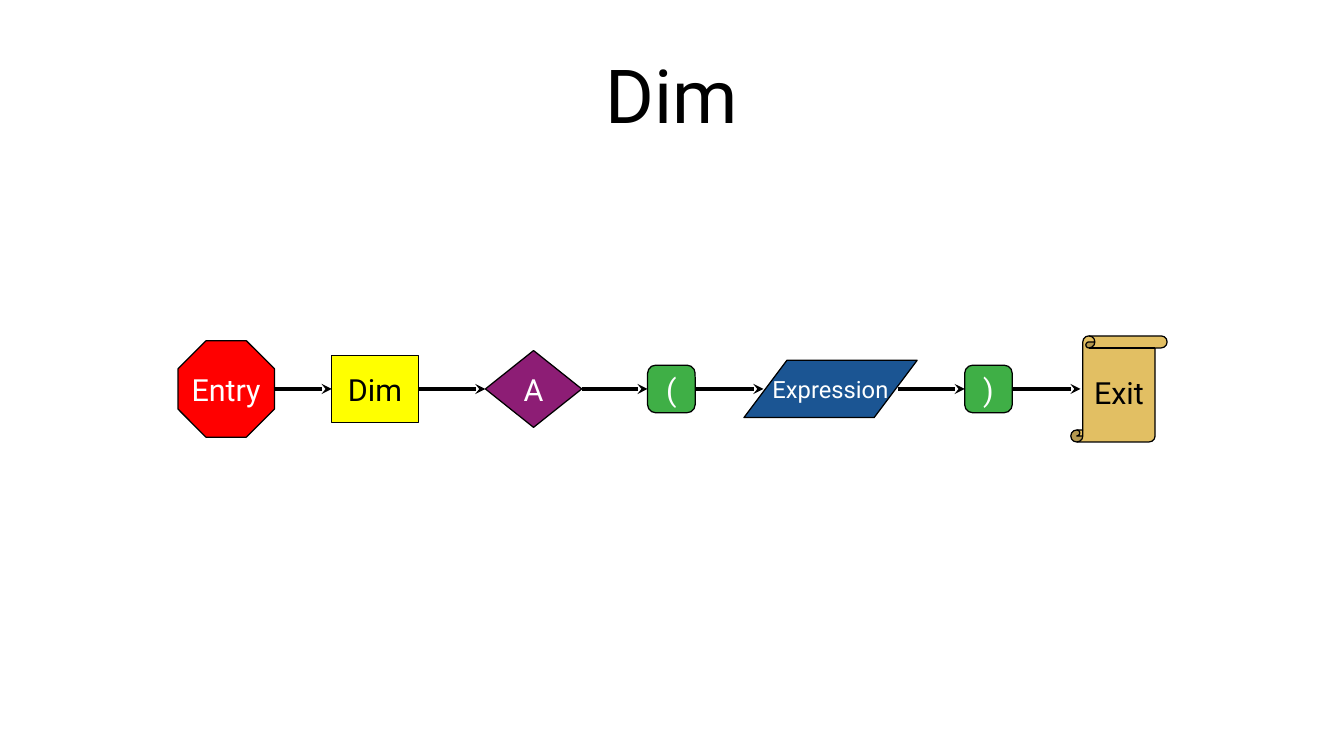
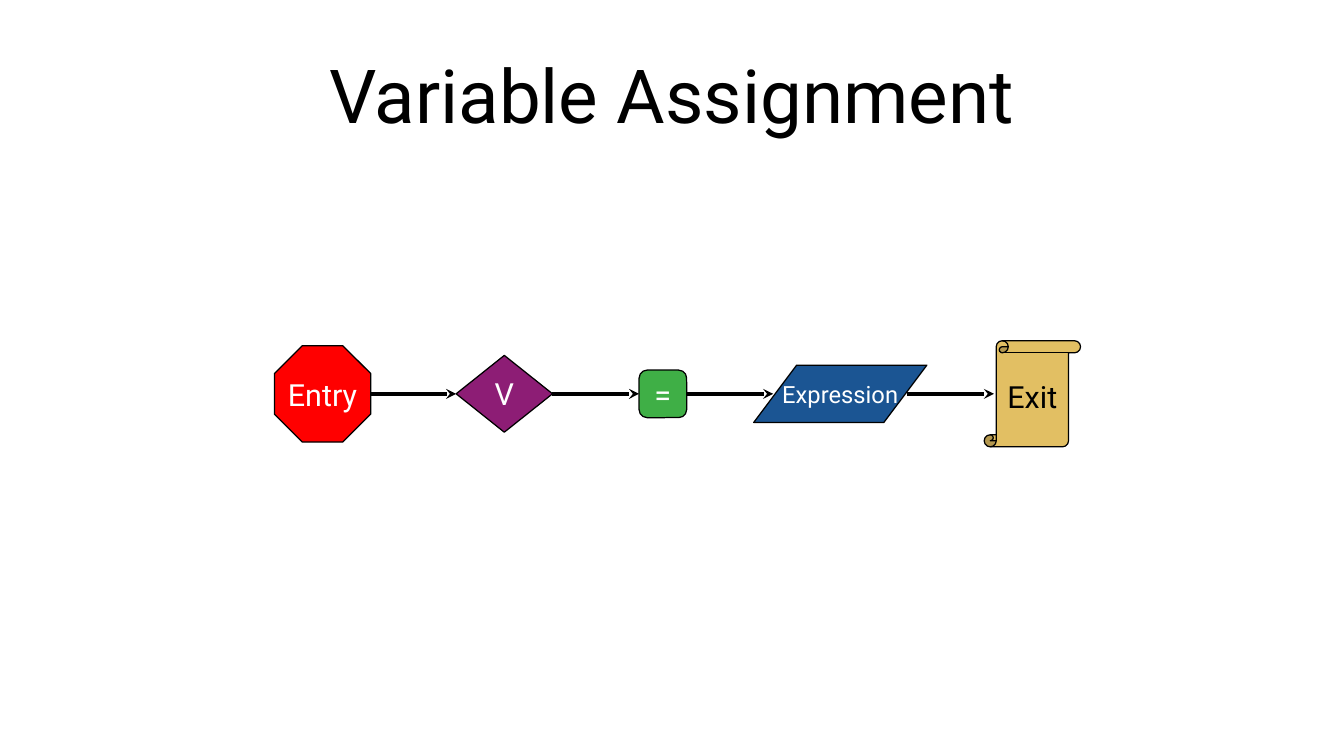
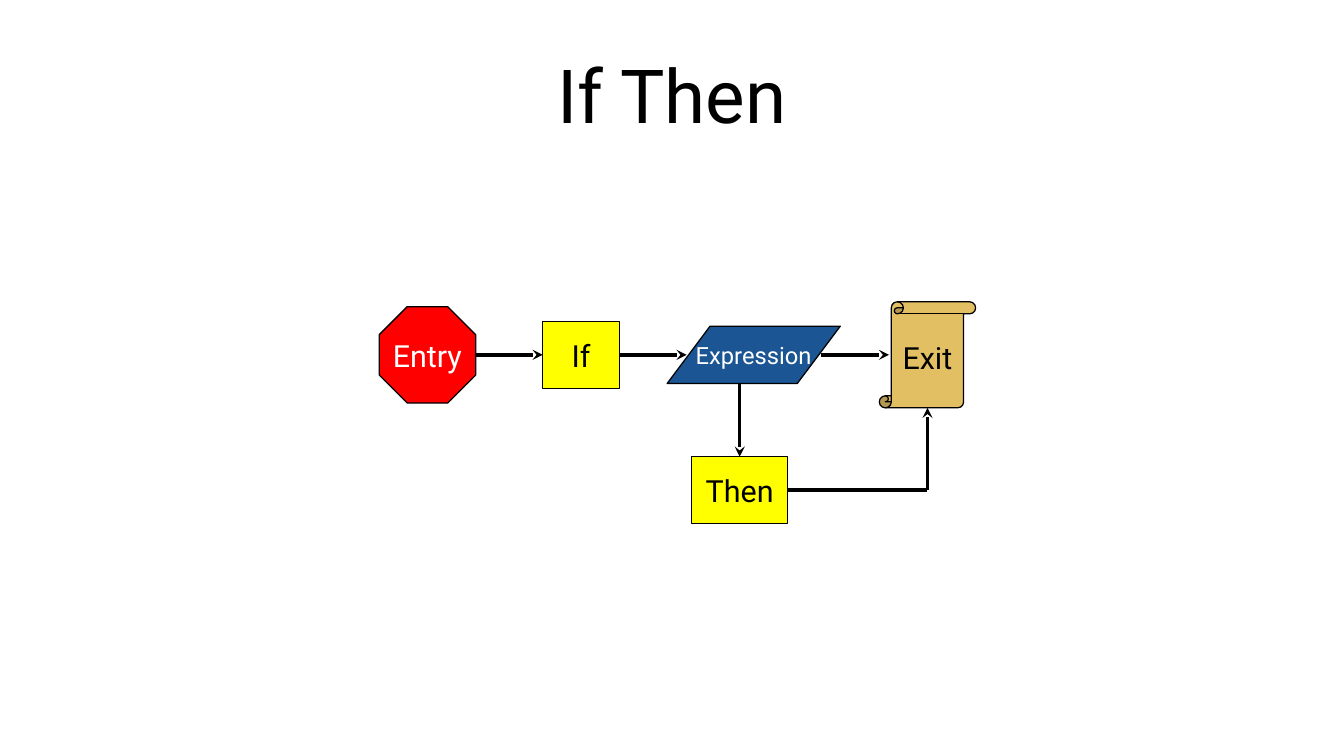
from dataclasses import dataclass

from lxml.etree import SubElement
from pptx import Presentation
from pptx.dml.color import RGBColor
from pptx.enum.shapes import MSO_CONNECTOR, MSO_SHAPE
from pptx.enum.text import MSO_ANCHOR, MSO_AUTO_SIZE, PP_ALIGN
from pptx.oxml.ns import qn
from pptx.slide import Slide
from pptx.text.text import TextFrame
from pptx.util import Inches, Pt

FONT = "Roboto"
HEX = {
    "black": "000000", "white": "FFFFFF", "red": "FF0000", "yellow": "FFFF00",
    "plum": "8D1D75", "green": "3FAF46", "blue": "1B5593", "sand": "E2BF63",
}


@dataclass(frozen=True)
class Kind:
    """Look of a node; inset is how far arrows reach inside its frame."""
    form: MSO_SHAPE
    wide: float
    high: float
    fill: str
    ink: str = "white"
    size: int = 18
    adjust: float | None = None
    inset: float = 0


@dataclass(frozen=True)
class Node:
    kind: Kind
    text: str
    left: float
    wide: float = 0

    @property
    def width(self) -> float:
        return self.wide or self.kind.wide

    @property
    def right(self) -> float:
        return self.left + self.width

    @property
    def center(self) -> float:
        return self.left + self.width / 2


@dataclass(frozen=True)
class Flow:
    title: str
    mid: float
    nodes: list[Node]


ENTRY = Kind(MSO_SHAPE.OCTAGON, 0.79, 0.79, "red", adjust=0.29)
EXIT = Kind(MSO_SHAPE.VERTICAL_SCROLL, 0.79, 0.87, "sand", "black",
            adjust=0.125, inset=0.08)
WORD = Kind(MSO_SHAPE.RECTANGLE, 0.79, 0.55, "yellow", "black")
NAME = Kind(MSO_SHAPE.DIAMOND, 0.79, 0.63, "plum")
SIGN = Kind(MSO_SHAPE.ROUNDED_RECTANGLE, 0.39, 0.39, "green", adjust=0.17)
VALUE = Kind(MSO_SHAPE.PARALLELOGRAM, 1.42, 0.47, "blue", size=14,
             adjust=0.75, inset=0.16)

TEST = Node(VALUE, "Expression", 5.47)
THEN = Node(WORD, "Then", 5.67)
DONE = Node(EXIT, "Exit", 7.21)
THEN_MID = 4.02

FLOWS = [
    Flow("Dim", 3.19, [
        Node(ENTRY, "Entry", 1.46), Node(WORD, "Dim", 2.72, 0.71),
        Node(NAME, "A", 3.98), Node(SIGN, "(", 5.31),
        Node(VALUE, "Expression", 6.1), Node(SIGN, ")", 7.91),
        Node(EXIT, "Exit", 8.78)]),
    Flow("Variable Assignment", 3.23, [
        Node(ENTRY, "Entry", 2.25), Node(NAME, "V", 3.74),
        Node(SIGN, "=", 5.24), Node(VALUE, "Expression", 6.18),
        Node(EXIT, "Exit", 8.07)]),
    Flow("If Then", 2.91, [
        Node(ENTRY, "Entry", 3.11), Node(WORD, "If", 4.45, 0.63),
        TEST, DONE]),
]


def color(name: str) -> RGBColor:
    return RGBColor.from_string(HEX[name])


def write(frame: TextFrame, text: str, *, size: int, ink: str,
          wrap: bool = False, pad: tuple[float, float] = (0.1, 0.05)) -> None:
    frame.word_wrap = wrap
    frame.vertical_anchor = MSO_ANCHOR.MIDDLE
    frame.margin_left = frame.margin_right = Inches(pad[0])
    frame.margin_top = frame.margin_bottom = Inches(pad[1])
    para = frame.paragraphs[0]
    para.alignment = PP_ALIGN.CENTER
    run = para.add_run()
    run.text = text
    run.font.name = FONT
    run.font.size = Pt(size)
    run.font.color.rgb = color(ink)


def head(slide: Slide, text: str) -> None:
    """Place and fill the title."""
    title = slide.shapes.title
    title.left, title.top = Inches(0.55), Inches(0.25)
    title.width, title.height = Inches(9.92), Inches(1.04)
    write(title.text_frame, text, size=44, ink="black", wrap=True, pad=(0, 0))
    title.text_frame.auto_size = MSO_AUTO_SIZE.SHAPE_TO_FIT_TEXT


def draw(slide: Slide, node: Node, mid: float) -> None:
    kind = node.kind
    shape = slide.shapes.add_shape(
        kind.form, Inches(node.left), Inches(mid - kind.high / 2),
        Inches(node.width), Inches(kind.high))
    shape.shadow.inherit = False
    if kind.adjust is not None:
        shape.adjustments[0] = kind.adjust
    shape.fill.solid()
    shape.fill.fore_color.rgb = color(kind.fill)
    shape.line.color.rgb = color("black")
    shape.line.width = Pt(0)
    write(shape.text_frame, node.text, size=kind.size, ink=kind.ink)


def link(slide: Slide, start: tuple[float, float], end: tuple[float, float],
         arrow: bool = True) -> None:
    line = slide.shapes.add_connector(
        MSO_CONNECTOR.STRAIGHT, Inches(start[0]), Inches(start[1]),
        Inches(end[0]), Inches(end[1]))
    line.line.color.rgb = color("black")
    line.line.width = Pt(0)
    if arrow:
        SubElement(line.line._get_or_add_ln(), qn("a:tailEnd"), type="stealth")
    SubElement(line._element.spPr, qn("a:effectLst"))


def chain(slide: Slide, flow: Flow) -> None:
    """Draw the nodes of a row and the arrows between neighbours."""
    for node in flow.nodes:
        draw(slide, node, flow.mid)
    for prior, after in zip(flow.nodes, flow.nodes[1:]):
        link(slide, (prior.right - prior.kind.inset, flow.mid),
             (after.left + after.kind.inset, flow.mid))


def branch(slide: Slide, mid: float) -> None:
    """Add the Then step below the row, leading on to the exit."""
    draw(slide, THEN, THEN_MID)
    link(slide, (THEN.center, mid + TEST.kind.high / 2),
         (THEN.center, THEN_MID - THEN.kind.high / 2))
    turn = (DONE.center, THEN_MID)
    link(slide, (THEN.right, THEN_MID), turn, arrow=False)
    link(slide, turn, (DONE.center, mid + DONE.kind.high / 2))


def main() -> None:
    deck = Presentation()
    deck.slide_width, deck.slide_height = Inches(11.02), Inches(6.2)
    layout = deck.slide_layouts.get_by_name("Title Only")
    for flow in FLOWS:
        slide = deck.slides.add_slide(layout)
        head(slide, flow.title)
        chain(slide, flow)
        if TEST in flow.nodes:
            branch(slide, flow.mid)
    deck.save("out.pptx")


if __name__ == "__main__":
    main()
